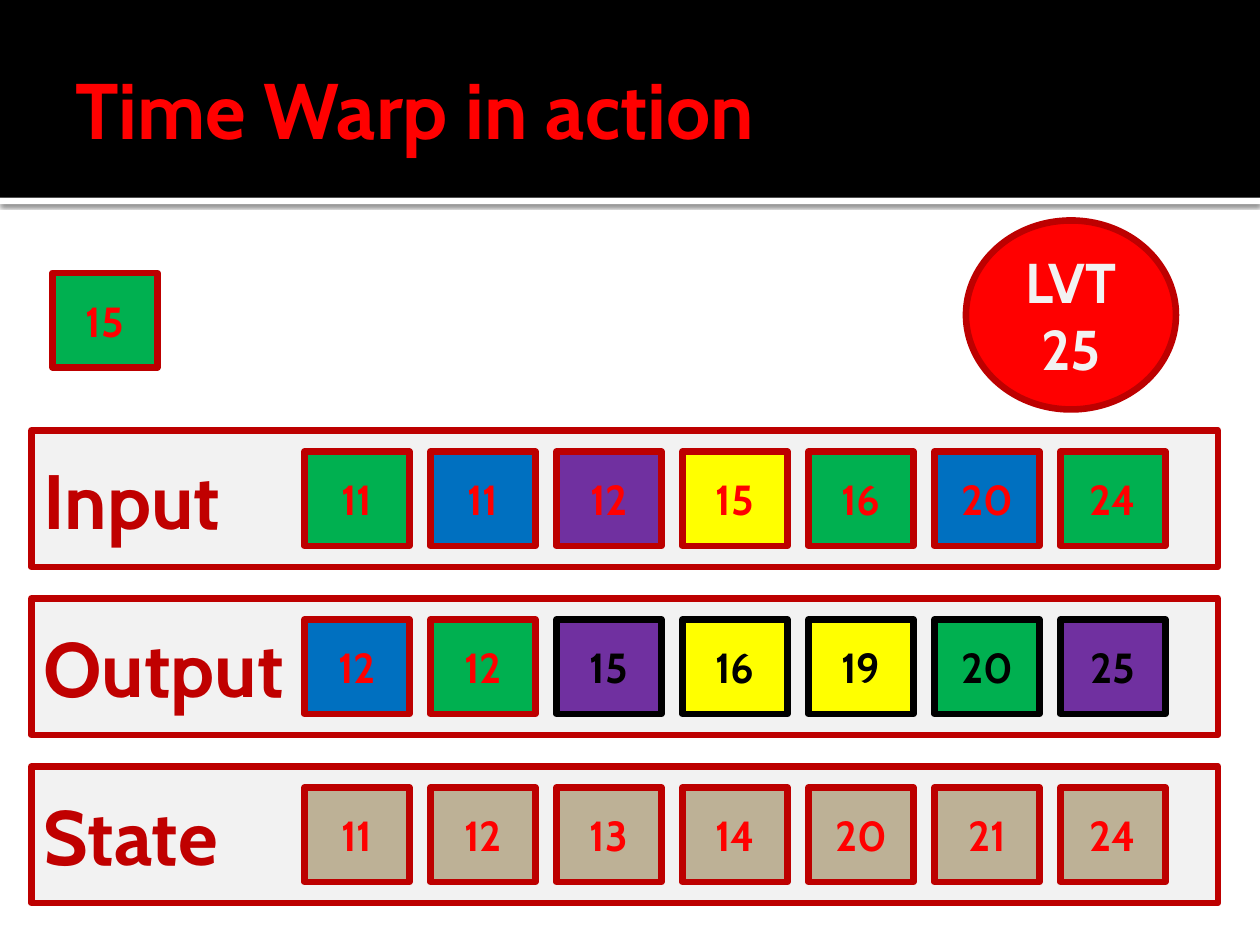
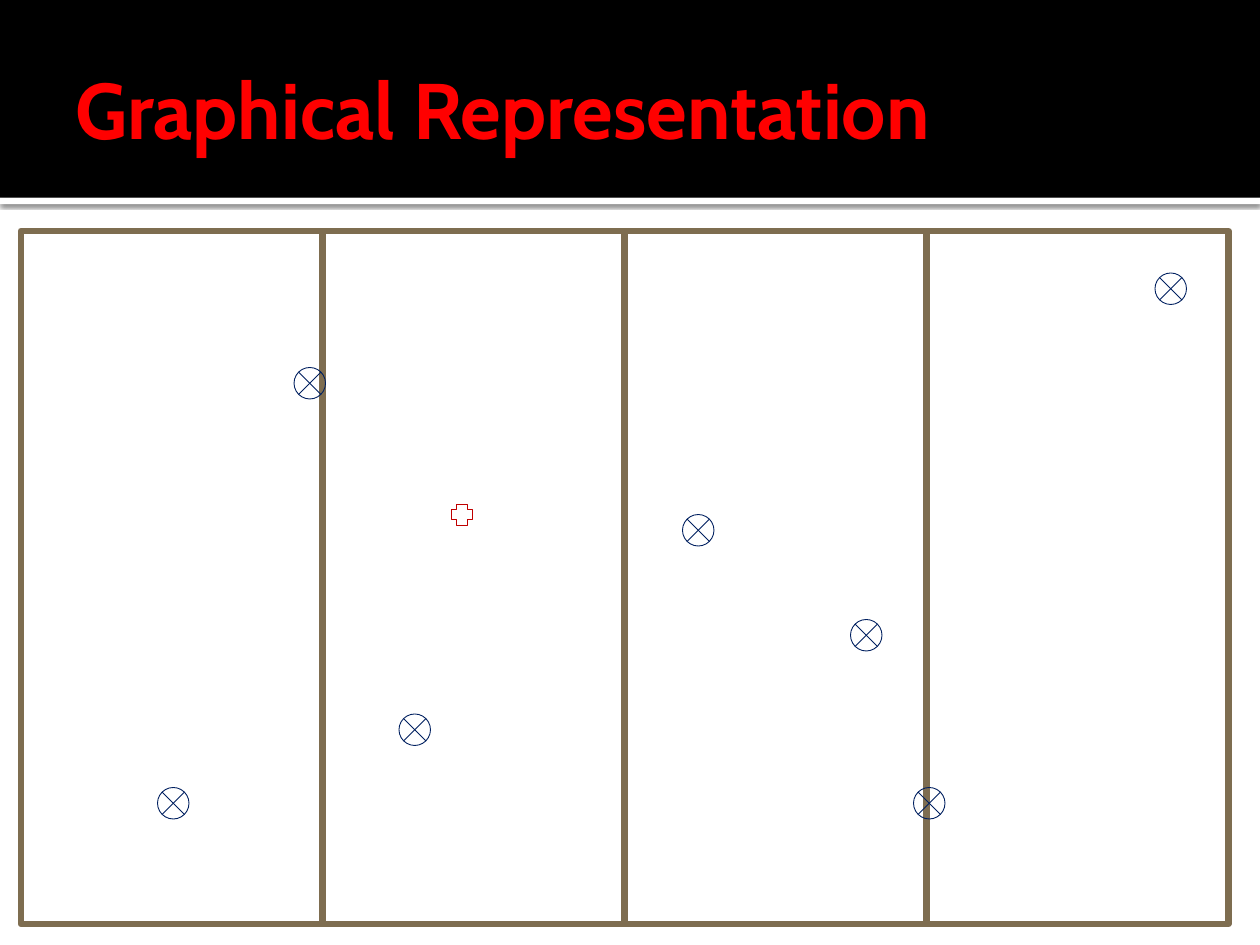
from dataclasses import dataclass

from lxml import etree
from pptx import Presentation
from pptx.dml.color import RGBColor
from pptx.enum.shapes import MSO_SHAPE
from pptx.enum.text import MSO_ANCHOR, PP_ALIGN
from pptx.oxml.ns import qn
from pptx.util import Inches, Pt

RECT, OVAL = MSO_SHAPE.RECTANGLE, MSO_SHAPE.OVAL
JUNCTION, PLUS = MSO_SHAPE.FLOWCHART_SUMMING_JUNCTION, MSO_SHAPE.CROSS
LEFT, CENTER = PP_ALIGN.LEFT, PP_ALIGN.CENTER
MIDDLE = MSO_ANCHOR.MIDDLE


@dataclass(frozen=True)
class Theme:
    font: str = "Cabin"
    black: str = "000000"
    white: str = "FFFFFF"
    pale: str = "F2F2F2"
    red: str = "FF0000"
    edge: str = "BD0000"
    label: str = "C00000"
    green: str = "00B050"
    blue: str = "0070C0"
    purple: str = "7030A0"
    yellow: str = "FFFF00"
    tan: str = "BDB196"
    brown: str = "7E6D50"
    navy: str = "002060"
    title_size: int = 45
    row_size: int = 44
    clock_size: int = 32
    cell_size: int = 24
    thick: float = 3.78
    thin: float = 0.5


T = Theme()

# Content: rows of (time, fill, is it black)
TITLES = "Time Warp in action", "Graphical Representation"
CLOCK = "LVT", "25"
EVENT = "15", T.green
QUEUES = {
    "Input": [("11", T.green, False), ("11", T.blue, False),
              ("12", T.purple, False), ("15", T.yellow, False),
              ("16", T.green, False), ("20", T.blue, False),
              ("24", T.green, False)],
    "Output": [("12", T.blue, False), ("12", T.green, False),
               ("15", T.purple, True), ("16", T.yellow, True),
               ("19", T.yellow, True), ("20", T.green, True),
               ("25", T.purple, True)],
    "State": [(time, T.tan, False)
              for time in ("11", "12", "13", "14", "20", "21", "24")],
}
NODES = [(15, 75), (65, 49), (38, 68), (81, 59), (110, 26), (28, 35), (87, 75)]
TARGET = 43, 48

# Layout, in grid units of a twelfth of an inch
COLS, ROWS = 120, 90
BAND = 18.84
BAR_X, BAR_Y, BAR_W, BAR_H, BAR_STEP = 3, 41, 113, 13, 16
CELL_X, CELL_W, CELL_H, CELL_STEP = 29, 10, 9, 12
ZONES, ZONE_X, ZONE_Y, ZONE_W, ZONE_H = 4, 2, 22, 28.75, 66


def unit(n):
    return Inches(n / 12)


def color(code):
    return RGBColor.from_string(code)


def write(shape, *lines, size, ink, align=CENTER):
    frame = shape.text_frame
    frame.word_wrap = True
    frame.vertical_anchor = MIDDLE
    for i, line in enumerate(lines):
        para = frame.add_paragraph() if i else frame.paragraphs[0]
        para.alignment = align
        run = para.add_run()
        run.text = line
        font = run.font
        font.name, font.size, font.bold = T.font, Pt(size), True
        font.color.rgb = color(ink)


def draw(slide, kind, x, y, w, h, fill=None, line=None, width=T.thick):
    shape = slide.shapes.add_shape(kind, unit(x), unit(y), unit(w), unit(h))
    shape.shadow.inherit = False
    if fill:
        shape.fill.solid()
        shape.fill.fore_color.rgb = color(fill)
    else:
        shape.fill.background()
    if line:
        shape.line.color.rgb = color(line)
        shape.line.width = Pt(width)
    else:
        shape.line.fill.background()
    return shape


def cast(shape):
    """Give the shape a soft shadow straight below it."""
    effects = shape.element.spPr.find(qn("a:effectLst"))
    shade = etree.SubElement(effects, qn("a:outerShdw"), blurRad=str(Pt(2.5)),
                             dist=str(Pt(0.8)), dir="5400000",
                             algn="tl", rotWithShape="0")
    tint = etree.SubElement(shade, qn("a:srgbClr"), val=T.black)
    etree.SubElement(tint, qn("a:alpha"), val="60000")


def start(deck, title):
    """Add a slide with the shared band and title."""
    slide = deck.slides.add_slide(deck.slide_layouts[6])
    cast(draw(slide, RECT, 0, BAND, COLS, 0.6, T.white))
    draw(slide, RECT, 0, 0, COLS, BAND, T.black)
    box = slide.shapes.add_textbox(unit(6), unit(2), unit(108), unit(16.5))
    box.text_frame.margin_right = Inches(0.05)
    write(box, title, size=T.title_size, ink=T.red, align=LEFT)
    return slide


def cell(slide, x, y, time, fill, dark=False):
    box = draw(slide, RECT, x, y, CELL_W, CELL_H, fill,
               T.black if dark else T.edge)
    write(box, time, size=T.cell_size, ink=T.black if dark else T.red)


def queues(deck):
    slide = start(deck, TITLES[0])
    clock = draw(slide, OVAL, 92, 21, 20, 18, T.red, T.edge)
    write(clock, *CLOCK, size=T.clock_size, ink=T.pale)
    cell(slide, 5, 26, *EVENT)
    for row, (name, items) in enumerate(QUEUES.items()):
        y = BAR_Y + row * BAR_STEP
        bar = draw(slide, RECT, BAR_X, y, BAR_W, BAR_H, T.pale, T.edge)
        write(bar, name, size=T.row_size, ink=T.label, align=LEFT)
        for col, item in enumerate(items):
            cell(slide, CELL_X + col * CELL_STEP,
                 y + (BAR_H - CELL_H) / 2, *item)


def field(deck):
    slide = start(deck, TITLES[1])
    for i in range(ZONES):
        draw(slide, RECT, ZONE_X + i * ZONE_W, ZONE_Y, ZONE_W, ZONE_H,
             line=T.brown)
    for x, y in NODES:
        draw(slide, JUNCTION, x, y, 3, 3, line=T.navy, width=T.thin)
    draw(slide, PLUS, *TARGET, 2, 2, line=T.label, width=T.thin)


def main():
    deck = Presentation()
    deck.slide_width, deck.slide_height = unit(COLS), unit(ROWS)
    queues(deck)
    field(deck)
    deck.save("out.pptx")


if __name__ == "__main__":
    main()
